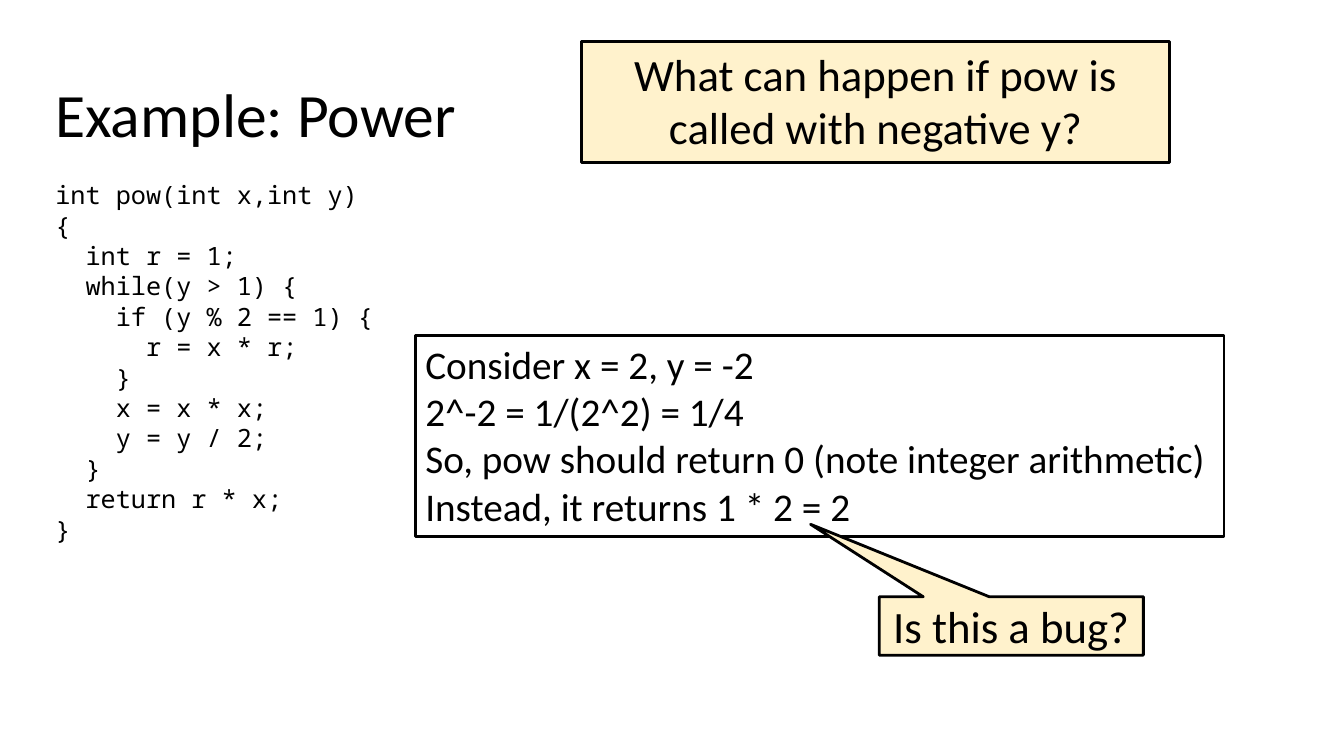
from dataclasses import dataclass

from pptx import Presentation
from pptx.dml.color import RGBColor
from pptx.enum.shapes import MSO_SHAPE
from pptx.enum.text import MSO_ANCHOR, MSO_AUTO_SIZE, PP_ALIGN
from pptx.util import Pt

PX = 9144  # EMU per px, 100 px to the inch
BLACK, WHITE, CREAM = "000000", "FFFFFF", "FFF2CC"

CODE = """\
int pow(int x,int y)
{
  int r = 1;
  while(y > 1) {
    if (y % 2 == 1) {
      r = x * r;
    }
    x = x * x;
    y = y / 2;
  }
  return r * x;
}"""

ANSWER = """\
Consider x = 2, y = -2
2^-2 = 1/(2^2) = 1/4
So, pow should return 0 (note integer arithmetic)
Instead, it returns 1 * 2 = 2"""


@dataclass(frozen=True)
class Box:
    text: str
    area: tuple[int, int, int, int]
    size: int
    fill: str | None = None
    font: str = "Calibri"
    align: PP_ALIGN = PP_ALIGN.LEFT
    anchor: MSO_ANCHOR = MSO_ANCHOR.TOP
    inset: int = 5
    fit: bool = False
    leading: float | None = None
    tail: tuple[float, float] | None = None


BOXES = [
    Box("Example: Power", (45, 65, 1242, 83), 44, inset=10),
    Box(CODE, (45, 168, 1242, 498), 18, font="Noto Sans Mono", inset=10,
        leading=21.7),
    Box(ANSWER, (412, 333, 802, 199), 28, WHITE, fit=True),
    Box("What can happen if pow is called with negative y?",
        (577, 41, 583, 120), 32, CREAM, align=PP_ALIGN.CENTER),
    Box("Is this a bug?", (872, 592, 262, 58), 32, CREAM,
        align=PP_ALIGN.CENTER, anchor=MSO_ANCHOR.MIDDLE, tail=(-0.76, -1.74)),
]


def color(code: str) -> RGBColor:
    return RGBColor.from_string(code)


def add_frame(slide, box: Box):
    """Add the plain text box, rectangle or callout that holds the text."""
    area = [n * PX for n in box.area]
    if box.fill is None:
        return slide.shapes.add_textbox(*area)
    kind = MSO_SHAPE.RECTANGULAR_CALLOUT if box.tail else MSO_SHAPE.RECTANGLE
    shape = slide.shapes.add_shape(kind, *area)
    for i, value in enumerate(box.tail or ()):
        shape.adjustments[i] = value
    shape.shadow.inherit = False
    shape.fill.solid()
    shape.fill.fore_color.rgb = color(box.fill)
    shape.line.color.rgb = color(BLACK)
    shape.line.width = Pt(2)
    return shape


def write(frame, box: Box) -> None:
    layout = {
        "margin_left": 10 * PX,
        "margin_right": 10 * PX,
        "margin_top": box.inset * PX,
        "margin_bottom": box.inset * PX,
        "vertical_anchor": box.anchor,
        "word_wrap": not box.fit,
        "auto_size": (MSO_AUTO_SIZE.SHAPE_TO_FIT_TEXT if box.fit
                      else MSO_AUTO_SIZE.NONE),
    }
    for name, value in layout.items():
        setattr(frame, name, value)
    frame.text = box.text
    for para in frame.paragraphs:
        para.alignment = box.align
        if box.leading:
            para.line_spacing = Pt(box.leading)
        for run in para.runs:
            run.font.name = box.font
            run.font.size = Pt(box.size)
            run.font.color.rgb = color(BLACK)


def main() -> None:
    deck = Presentation()
    deck.slide_width, deck.slide_height = 1333 * PX, 750 * PX
    slide = deck.slides.add_slide(deck.slide_layouts[6])
    for box in BOXES:
        write(add_frame(slide, box).text_frame, box)
    deck.save("out.pptx")


if __name__ == "__main__":
    main()
